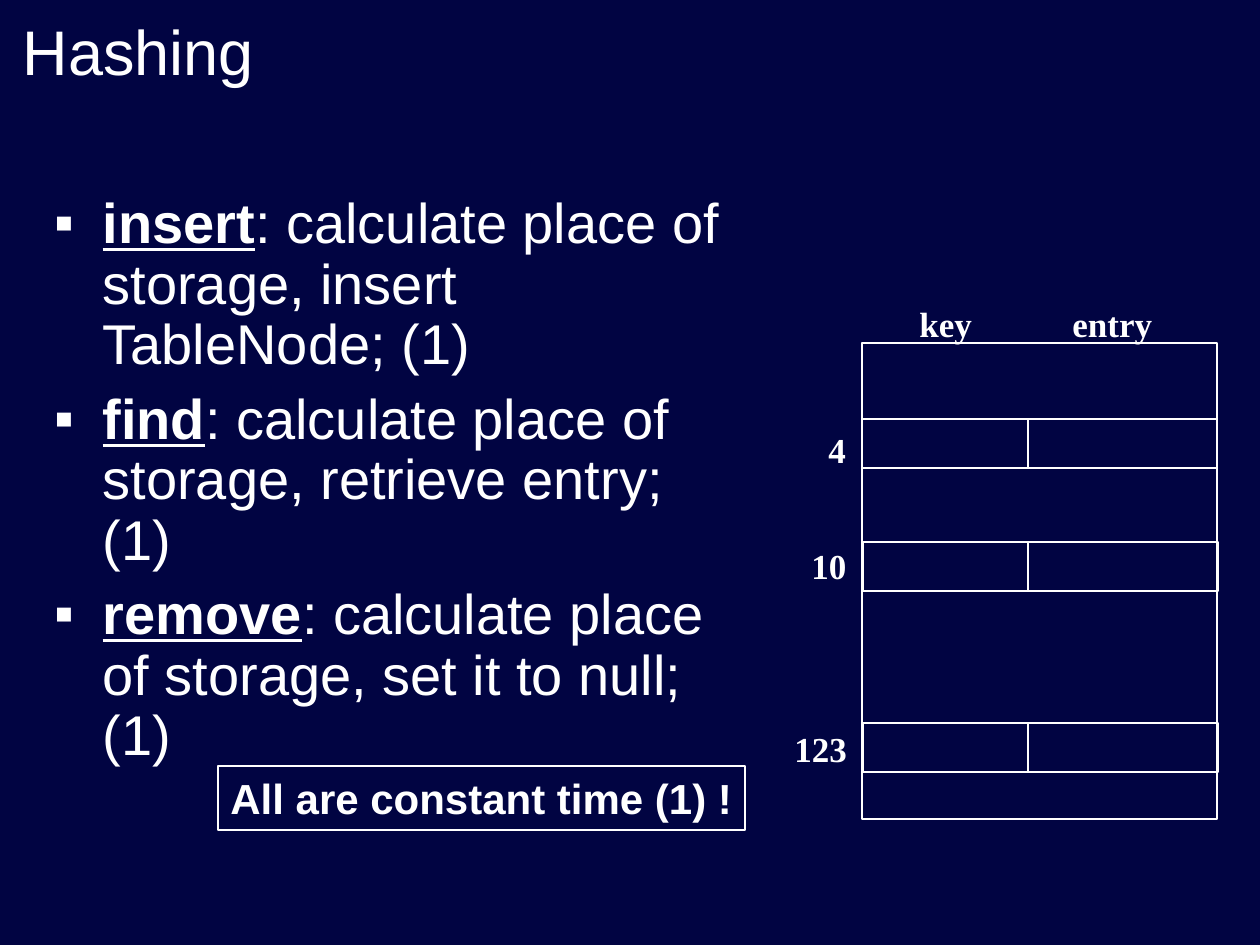
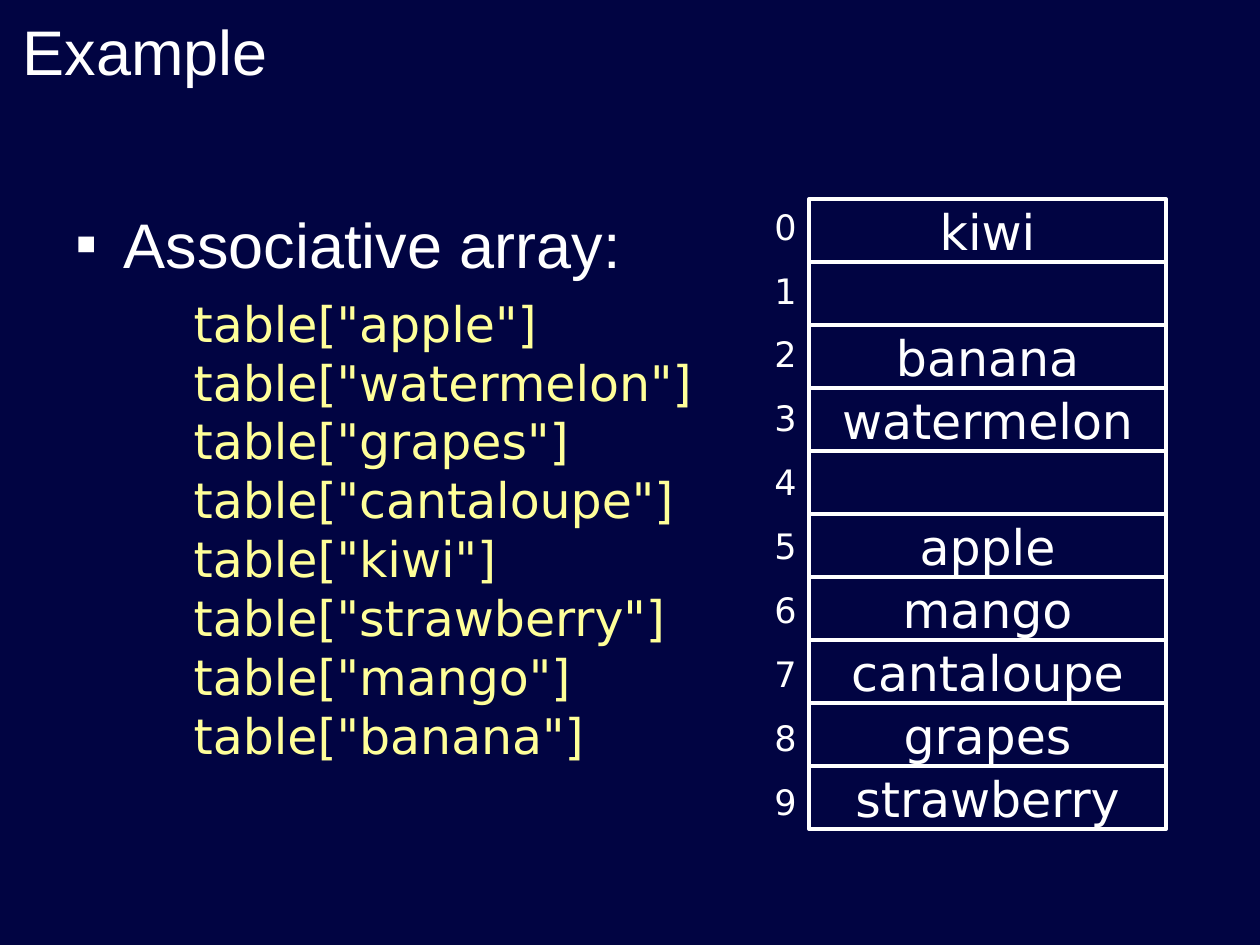
from dataclasses import dataclass

from lxml.etree import SubElement
from pptx import Presentation
from pptx.dml.color import RGBColor
from pptx.enum.shapes import MSO_CONNECTOR, MSO_SHAPE as Shape
from pptx.enum.text import MSO_ANCHOR as Anchor, MSO_AUTO_SIZE, PP_ALIGN as Align
from pptx.oxml.ns import qn
from pptx.util import Emu, Pt

EMU_PER_PX = 914400 / 126


def px(length):
    """Turn px into EMU."""
    return Emu(round(length * EMU_PER_PX))


@dataclass(frozen=True)
class Theme:
    """Colours, fonts and type sizes shared by the pages."""

    background: str = "010442"
    ink: str = "FFFFFF"
    code: str = "FFFF99"
    sans: str = "Arial"
    serif: str = "Times New Roman"
    screen: str = "DejaVu Sans"
    title_size: int = 36
    lead_size: int = 36
    list_size: int = 32
    code_size: int = 28
    callout_size: int = 24
    label_size: int = 20
    thin: float = 1
    thick: float = 2.25


class Painter:
    """Holds the theme and the current page and draws on it."""

    def __init__(self, theme):
        """Open a deck with the shared background."""
        self.theme = theme
        self.deck = Presentation()
        self.deck.slide_width, self.deck.slide_height = px(1260), px(945)
        fill = self.deck.slide_master.background.fill
        fill.solid()
        fill.fore_color.rgb = RGBColor.from_string(theme.background)
        self.page = None

    def start_page(self, title):
        """Add a page and style its title."""
        self.page = self.deck.slides.add_slide(self.deck.slide_layouts[1])
        box = self.page.shapes.title
        self.place(box, 10, 10, 1142, 84)
        frame = self.prepare(box, Anchor.BOTTOM)
        self.set_text(frame.paragraphs[0], title, self.theme.sans, self.theme.title_size)

    def place(self, box, left, top, width, height):
        """Move and size a box."""
        box.left, box.top, box.width, box.height = map(px, (left, top, width, height))

    def prepare(self, box, anchor=Anchor.TOP, wrap=True):
        """Set up the text frame of a box."""
        frame = box.text_frame
        frame.auto_size = MSO_AUTO_SIZE.NONE
        frame.word_wrap = wrap
        frame.vertical_anchor = anchor
        return frame

    def style(self, para, font, size, bold=False, align=Align.LEFT, color=None):
        """Format a whole paragraph."""
        para.alignment = align
        para.font.name, para.font.size, para.font.bold = font, Pt(size), bold
        para.font.color.rgb = RGBColor.from_string(color or self.theme.ink)

    def set_text(self, para, text, font, size, **look):
        """Fill a paragraph with evenly formatted text."""
        para.text = text
        self.style(para, font, size, **look)

    def body(self, left, top, width, height):
        """Place the list placeholder and return its frame."""
        box = self.page.placeholders[1]
        self.place(box, left, top, width, height)
        return self.prepare(box)

    def indent(self, para, margin, hang=0, bullet=None):
        """Set the indent and the bullet of a paragraph."""
        properties = para._p.get_or_add_pPr()
        properties.set("marL", str(px(margin)))
        properties.set("indent", str(px(-hang)))
        if bullet:
            color = SubElement(properties, qn("a:buClr"))
            SubElement(color, qn("a:srgbClr"), val=self.theme.ink)
            SubElement(properties, qn("a:buChar"), char=bullet)
        else:
            SubElement(properties, qn("a:buNone"))

    def bullet(self, para, size, space=0):
        """Make a paragraph a square-bulleted item."""
        para.space_before = Pt(space)
        self.indent(para, 48, 48, "▪")
        self.style(para, self.theme.sans, size)

    def outline(self, shape, left, top, width, height, weight):
        """Draw an unfilled shape."""
        box = self.page.shapes.add_shape(shape, *map(px, (left, top, width, height)))
        box.shadow.inherit = False
        box.fill.background()
        box.line.color.rgb = RGBColor.from_string(self.theme.ink)
        box.line.width = Pt(weight)
        return box

    def label(self, texts, left, top, width, height, font, space=0, **look):
        """Add a text box with one paragraph per text."""
        box = self.page.shapes.add_textbox(*map(px, (left, top, width, height)))
        frame = self.prepare(box, wrap=False)
        for number, text in enumerate(texts):
            para = frame.add_paragraph() if number else frame.paragraphs[0]
            para.space_before = Pt(space if number else 0)
            self.set_text(para, text, font, self.theme.label_size, **look)

    def divider(self, x, top, bottom):
        """Draw a vertical line."""
        line = self.page.shapes.add_connector(
            MSO_CONNECTOR.STRAIGHT, px(x), px(top), px(x), px(bottom)
        )
        line.line.color.rgb = RGBColor.from_string(self.theme.ink)
        line.line.width = Pt(self.theme.thin)
        SubElement(line._element.spPr, qn("a:effectLst"))


def draw_hashing(painter):
    """Show the operations beside a sparse table."""
    theme = painter.theme
    painter.start_page("Hashing")
    operations = (
        ("insert", ": calculate place of storage, insert TableNode; (1)"),
        ("find", ": calculate place of storage, retrieve entry; (1)"),
        ("remove", ": calculate place of storage, set it to null; (1)"),
    )
    frame = painter.body(42, 189, 698, 640)
    for number, (name, action) in enumerate(operations):
        para = frame.add_paragraph() if number else frame.paragraphs[0]
        para.line_spacing = 0.9
        painter.bullet(para, theme.list_size, 8 if number else 0)
        span = para.add_run()
        span.text = name
        span.font.bold = span.font.underline = True
        para.add_run().text = action

    painter.outline(Shape.RECTANGLE, 862, 343, 355, 476, theme.thin)
    for heading, left, width in (("key", 907, 77), ("entry", 1060, 105)):
        painter.label([heading], left, 296, width, 55, theme.serif, bold=True)
    slot_height = 49
    slots = (("4", 862, 419, 422), ("10", 863, 542, 538), ("123", 863, 723, 721))
    for index, left, top, label_top in slots:
        painter.outline(Shape.RECTANGLE, left, top, 355, slot_height, theme.thin)
        width = 26 + 17 * len(index)
        painter.label([index], 859 - width, label_top, width, 55, theme.serif, bold=True)
        painter.divider(1028, top, top + slot_height)

    callout = painter.outline(Shape.RECTANGLE, 218, 766, 527, 64, theme.thin)
    para = painter.prepare(callout, wrap=False).paragraphs[0]
    painter.set_text(
        para, "All are constant time (1) !", theme.sans, theme.callout_size, bold=True
    )


def draw_example(painter):
    """Show fruit lookups beside the filled table."""
    theme = painter.theme
    painter.start_page("Example")
    lookups = (
        "apple", "watermelon", "grapes", "cantaloupe",
        "kiwi", "strawberry", "mango", "banana",
    )
    frame = painter.body(63, 199, 672, 640)
    lead = frame.paragraphs[0]
    lead.text = "Associative array:"
    painter.bullet(lead, theme.lead_size)
    code = frame.add_paragraph()
    code.level = 1
    code.space_before = Pt(7)
    painter.indent(code, 118)
    lines = "\v".join(f'table["{fruit}"]' for fruit in lookups)
    painter.set_text(code, lines, theme.screen, theme.code_size, color=theme.code)

    cells = (
        "kiwi", "", "banana", "watermelon", "",
        "apple", "mango", "cantaloupe", "grapes", "strawberry",
    )
    top, pitch = 199, 63
    for index, fruit in enumerate(cells):
        cell = painter.outline(
            Shape.FLOWCHART_PROCESS, 809, top + index * pitch, 357, pitch, theme.thick
        )
        if fruit:
            para = painter.prepare(cell, Anchor.MIDDLE, wrap=False).paragraphs[0]
            painter.set_text(para, fruit, theme.screen, theme.code_size, align=Align.CENTER)
    indexes = [str(index) for index in range(len(cells))]
    painter.label(indexes, 762, top, 45, pitch * len(cells), theme.screen, space=12.5)


def main():
    """Build the deck."""
    painter = Painter(Theme())
    draw_hashing(painter)
    draw_example(painter)
    painter.deck.save("out.pptx")


if __name__ == "__main__":
    main()
